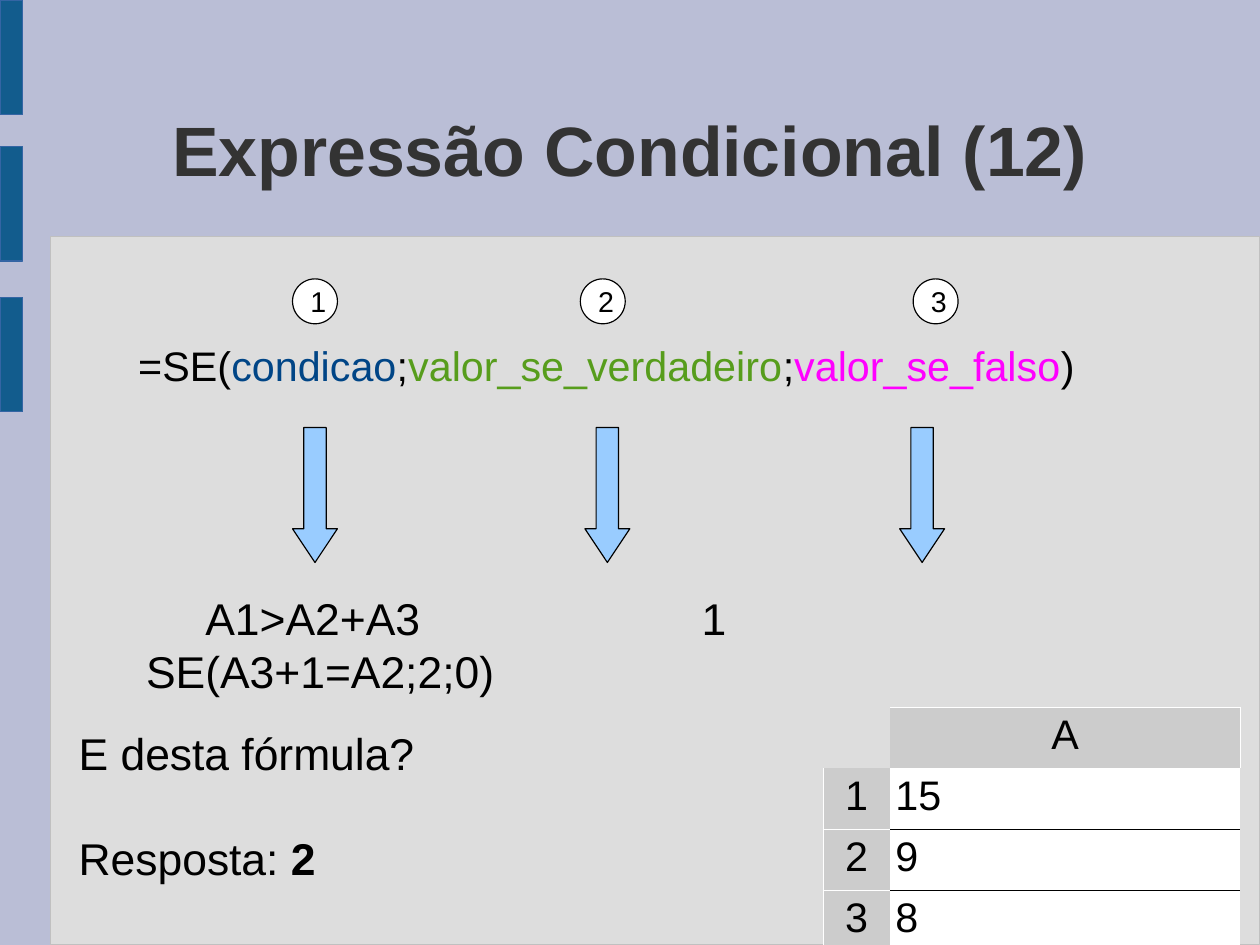
from dataclasses import dataclass
from typing import Optional

import pptx
import pptx.dml.color
import pptx.enum.shapes
import pptx.enum.text
import pptx.oxml.ns
import pptx.util
from lxml import etree

Pt = pptx.util.Pt
Shape = pptx.enum.shapes.MSO_SHAPE
Align = pptx.enum.text.PP_ALIGN
Anchor = pptx.enum.text.MSO_ANCHOR
qn = pptx.oxml.ns.qn

FONT = "Arial"
BLACK, WHITE, GREY = "000000", "FFFFFF", "CCCCCC"


@dataclass
class Box:
    left: float
    top: float
    width: float
    height: float

    def lengths(self) -> tuple:
        return Pt(self.left), Pt(self.top), Pt(self.width), Pt(self.height)


@dataclass
class Argument:
    number: str
    circle_left: float
    arrow_left: float


@dataclass
class Span:
    text: str
    color: str = BLACK


ARGUMENTS = [
    Argument("1", 184.3, 184.3),
    Argument("2", 365.6, 368.5),
    Argument("3", 575.3, 566.8),
]
FORMULA = [
    Span("=SE("),
    Span("condicao", "004586"),
    Span(";"),
    Span("valor_se_verdadeiro", "579D1C"),
    Span(";"),
    Span("valor_se_falso", "FF00FF"),
    Span(")"),
]
VALUES = ["15", "9", "8"]


def rgb(color: str):
    return pptx.dml.color.RGBColor.from_string(color)


def set_fill(fill, color: str) -> None:
    fill.solid()
    fill.fore_color.rgb = rgb(color)


def set_font(para, size: float, color: str = BLACK, bold: bool = False) -> None:
    para.font.name = FONT
    para.font.size = Pt(size)
    para.font.color.rgb = rgb(color)
    para.font.bold = bold


def add_shape(shapes, kind, box: Box, fill: str, line: str = BLACK):
    shape = shapes.add_shape(kind, *box.lengths())
    shape.shadow.inherit = False
    set_fill(shape.fill, fill)
    shape.line.color.rgb = rgb(line)
    shape.line.width = Pt(0)
    return shape


def add_text(shapes, box: Box):
    frame = shapes.add_textbox(*box.lengths()).text_frame
    frame.word_wrap = True
    return frame


def clear_margins(frame) -> None:
    frame.margin_left = frame.margin_right = Pt(0)
    frame.margin_top = frame.margin_bottom = Pt(0)


def set_tabs(para, stops: list[float]) -> None:
    properties = para._p.get_or_add_pPr()
    tabs = etree.Element(qn("a:tabLst"))
    for stop in stops:
        etree.SubElement(tabs, qn("a:tab"), pos=str(Pt(stop)), algn="l")
    properties.insert(0, tabs)


def set_borders(cell, colors: dict[str, Optional[str]]) -> None:
    properties = cell._tc.get_or_add_tcPr()
    for index, side in enumerate("LRTB"):
        line = etree.Element(qn(f"a:ln{side}"), w=str(Pt(0.06)))
        if colors[side]:
            solid = etree.SubElement(line, qn("a:solidFill"))
            etree.SubElement(solid, qn("a:srgbClr"), val=colors[side])
        else:
            etree.SubElement(line, qn("a:noFill"))
        properties.insert(index, line)


def fill_cell(cell, text: str, fill: str, centered: bool) -> None:
    cell.text = text
    set_fill(cell.fill, fill)
    para = cell.text_frame.paragraphs[0]
    para.alignment = Align.CENTER if centered else Align.LEFT
    set_font(para, 26)


def add_backdrop(page) -> None:
    set_fill(page.background.fill, "BABED6")
    add_shape(page.shapes, Shape.RECTANGLE, Box(31.9, 149, 761.8, 446.2), "DDDDDD", "C0C0C0")
    for top in (0, 92.2, 187.2):
        add_shape(page.shapes, Shape.RECTANGLE, Box(0, top, 14.4, 72.2), "125C8D", "3465A4")


def add_title(page) -> None:
    title = page.shapes.title
    title.left, title.top, title.width, title.height = Box(58.4, 47.5, 677.6, 92.2).lengths()
    frame = title.text_frame
    clear_margins(frame)
    frame.vertical_anchor = Anchor.MIDDLE
    frame.text = "Expressão Condicional (12)"
    para = frame.paragraphs[0]
    para.alignment = Align.CENTER
    set_font(para, 44, "333333", True)


def add_formula(page) -> None:
    group = page.shapes.add_group_shape()
    frame = add_text(group.shapes, Box(87.1, 214.1, 607.7, 28.8))
    clear_margins(frame)
    para = frame.paragraphs[0]
    set_font(para, 26)
    for span in FORMULA:
        run = para.add_run()
        run.text = span.text
        run.font.color.rgb = rgb(span.color)

    # Numbered circles above, arrows below
    for argument in ARGUMENTS:
        circle = add_shape(group.shapes, Shape.OVAL, Box(argument.circle_left, 175.7, 28.3, 28.3), WHITE)
        circle.text_frame.text = argument.number
        circle.text_frame.vertical_anchor = Anchor.MIDDLE
        label = circle.text_frame.paragraphs[0]
        label.alignment = Align.CENTER
        set_font(label, 18)
        arrow = add_shape(page.shapes, Shape.DOWN_ARROW, Box(argument.arrow_left, 269.3, 28.3, 85), "99CCFF")
        arrow.adjustments[0] = 0.5
        arrow.adjustments[1] = 0.75


def add_example(page) -> None:
    para = add_text(page.shapes, Box(85, 368.5, 652.3, 38.2)).paragraphs[0]
    para.text = "\tA1>A2+A3\t1\vSE(A3+1=A2;2;0)"
    set_font(para, 28)
    set_tabs(para, [37.3, 350])


def add_sheet(page) -> None:
    box = Box(518.4, 445.2, 262.8, 145.4)
    graphic = page.shapes.add_table(len(VALUES) + 1, 2, *box.lengths())
    table = graphic.table
    table.first_row = table.horz_banding = False
    table.columns[0].width, table.columns[1].width = Pt(42.6), Pt(220.2)
    for row, height in zip(table.rows, (27.4, 27.4, 27.4, 23)):
        row.height = Pt(height)
    graphic.height = Pt(box.height)

    # Empty corner and column heading
    table.cell(0, 0).fill.background()
    set_borders(table.cell(0, 0), dict.fromkeys("LRTB"))
    fill_cell(table.cell(0, 1), "A", GREY, True)
    set_borders(table.cell(0, 1), {"L": None, "R": WHITE, "T": WHITE, "B": None})

    # Row numbers and values
    for number, value in enumerate(VALUES, start=1):
        top = None if number == 1 else BLACK
        label, content = table.cell(number, 0), table.cell(number, 1)
        fill_cell(label, str(number), GREY, True)
        set_borders(label, {"L": WHITE, "R": None, "T": top and WHITE, "B": WHITE})
        fill_cell(content, value, WHITE, False)
        content.margin_left = content.margin_right = Pt(3.1)
        set_borders(content, {"L": None, "R": None, "T": top, "B": BLACK})


def add_answer(page) -> None:
    frame = add_text(page.shapes, Box(42.5, 453.6, 439.2, 113))
    question = frame.paragraphs[0]
    question.text = "E desta fórmula?"
    set_font(question, 28)
    answer = frame.add_paragraph()
    answer.alignment = Align.JUSTIFY
    answer.space_before = Pt(33)
    set_font(answer, 28)
    answer.add_run().text = "Resposta:"
    result = answer.add_run()
    result.text = " 2"
    result.font.bold = True


def main() -> None:
    deck = pptx.Presentation()
    deck.slide_width, deck.slide_height = Pt(793.75), Pt(595.25)
    page = deck.slides.add_slide(deck.slide_layouts[5])
    add_backdrop(page)
    add_title(page)
    add_formula(page)
    add_example(page)
    add_sheet(page)
    add_answer(page)
    deck.save("out.pptx")


if __name__ == "__main__":
    main()
